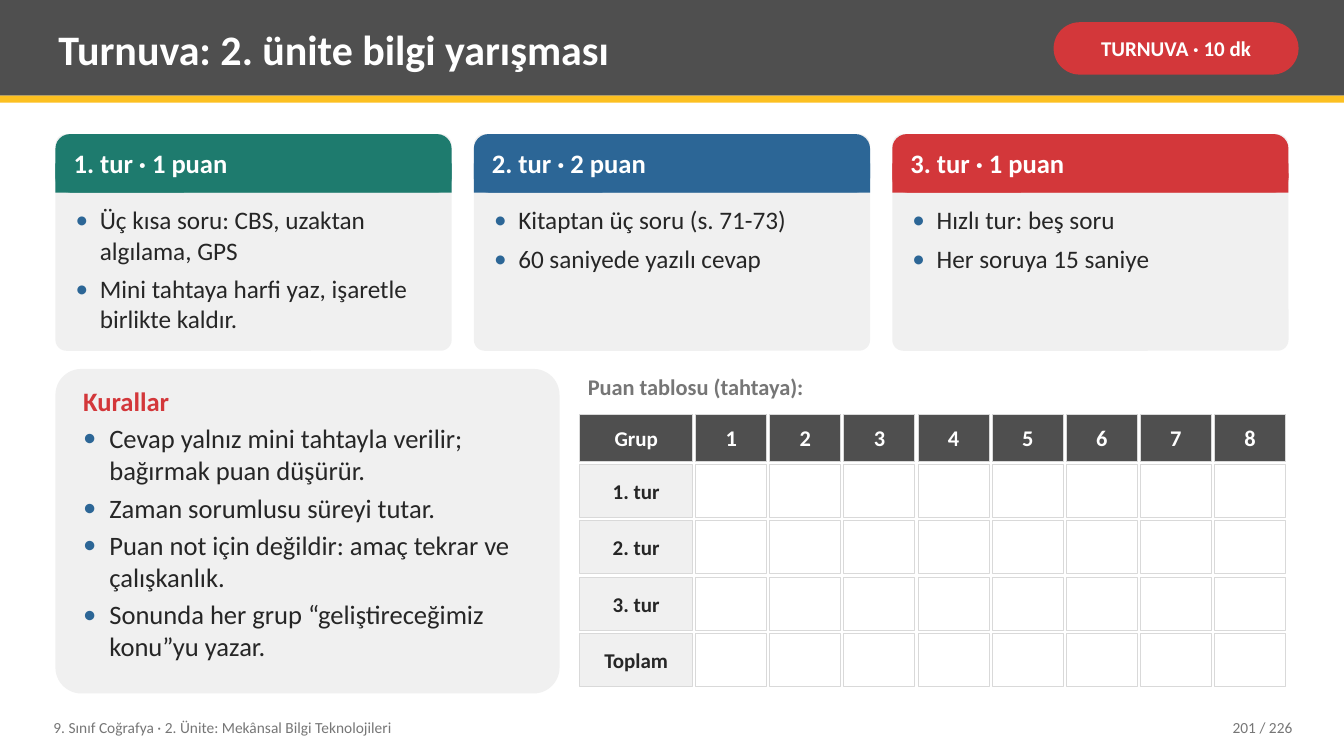
from pptx import Presentation
from pptx.dml.color import RGBColor
from pptx.enum import shapes, text
from pptx.oxml import parse_xml
from pptx.oxml.ns import nsdecls
from pptx.util import Inches, Pt

FONT = "Calibri"
DARK = RGBColor(0x4F, 0x4F, 0x4F)
YELLOW = RGBColor(0xFC, 0xC0, 0x21)
RED = RGBColor(0xD3, 0x37, 0x3A)
GREEN = RGBColor(0x1E, 0x7B, 0x6E)
BLUE = RGBColor(0x2C, 0x66, 0x96)
PALE = RGBColor(0xF0, 0xF0, 0xF0)
WHITE = RGBColor(0xFF, 0xFF, 0xFF)
INK = RGBColor(0x26, 0x26, 0x26)
MUTED = RGBColor(0x76, 0x76, 0x76)
GRID = RGBColor(0xD9, 0xD9, 0xD9)

RECT = shapes.MSO_SHAPE.RECTANGLE
ROUND = shapes.MSO_SHAPE.ROUNDED_RECTANGLE
LEFT, CENTER, RIGHT = text.PP_ALIGN.LEFT, text.PP_ALIGN.CENTER, text.PP_ALIGN.RIGHT
TOP, MIDDLE = text.MSO_ANCHOR.TOP, text.MSO_ANCHOR.MIDDLE

ROUNDS = [
    ("1. tur · 1 puan", GREEN, ["Üç kısa soru: CBS, uzaktan algılama, GPS",
                                "Mini tahtaya harfi yaz, işaretle birlikte kaldır."]),
    ("2. tur · 2 puan", BLUE, ["Kitaptan üç soru (s. 71-73)", "60 saniyede yazılı cevap"]),
    ("3. tur · 1 puan", RED, ["Hızlı tur: beş soru", "Her soruya 15 saniye"]),
]
RULES = [
    "Cevap yalnız mini tahtayla verilir; bağırmak puan düşürür.",
    "Zaman sorumlusu süreyi tutar.",
    "Puan not için değildir: amaç tekrar ve çalışkanlık.",
    "Sonunda her grup “geliştireceğimiz konu”yu yazar.",
]
SCORE_ROWS = ["1. tur", "2. tur", "3. tur", "Toplam"]
GROUPS = 8


def add_panel(slide, kind, box, fill, corner=None):
    panel = slide.shapes.add_shape(kind, *map(Inches, box))
    panel.shadow.inherit = False
    panel.fill.solid()
    panel.fill.fore_color.rgb = fill
    panel.line.fill.background()
    if corner is not None:
        panel.adjustments[0] = corner
    return panel


def set_frame(frame, anchor, inset_x=0.08, inset_y=0.04):
    frame.word_wrap = True
    frame.auto_size = text.MSO_AUTO_SIZE.NONE
    frame.vertical_anchor = anchor
    frame.margin_left = frame.margin_right = Inches(inset_x)
    frame.margin_top = frame.margin_bottom = Inches(inset_y)


def style(paragraph, size, color, bold=False, align=LEFT):
    paragraph.alignment = align
    font = paragraph.font
    font.name, font.size, font.bold = FONT, Pt(size), bold
    font.color.rgb = color


def write(frame, words, size, color, bold=False, align=LEFT):
    frame.text = words
    style(frame.paragraphs[0], size, color, bold, align)


def add_label(slide, box, words, size, color, bold=False, align=LEFT, anchor=MIDDLE):
    frame = slide.shapes.add_textbox(*map(Inches, box)).text_frame
    set_frame(frame, anchor)
    write(frame, words, size, color, bold, align)


def add_bullet(paragraph, words, size, indent, after):
    paragraph.text = words
    props = paragraph._p.get_or_add_pPr()
    props.set("marL", str(Inches(indent)))
    props.set("indent", str(-Inches(indent)))
    paragraph.space_after = Pt(after)
    for xml in (f'<a:buClr {nsdecls("a")}><a:srgbClr val="{BLUE}"/></a:buClr>',
                f'<a:buFont {nsdecls("a")} typeface="{FONT}"/>',
                f'<a:buChar {nsdecls("a")} char="•"/>'):
        props.append(parse_xml(xml))
    style(paragraph, size, INK)


def add_header(slide, width, height):
    add_panel(slide, RECT, (0, 0, width, height), DARK)
    stripe = add_panel(slide, RECT, (0, height, width, 0.07), YELLOW)
    # Title sits above the band
    title = slide.shapes.title
    stripe._element.addnext(title._element)
    title.left, title.top, title.width, title.height = map(Inches, (0.5, 0.07, 9.75, 0.82))
    set_frame(title.text_frame, MIDDLE)
    write(title.text_frame, "Turnuva: 2. ünite bilgi yarışması", 30, WHITE, True)
    # Activity badge
    badge = add_panel(slide, ROUND, (width - 2.88, 0.22, 2.43, 0.52), RED, 0.5)
    set_frame(badge.text_frame, MIDDLE, 0.05, 0.02)
    write(badge.text_frame, "TURNUVA · 10 dk", 15, WHITE, True, CENTER)


def add_round_card(slide, box, heading, color, items):
    left, top, width, height = box
    head = 0.58
    add_panel(slide, ROUND, box, PALE, 0.05)
    # Heading with square lower corners
    add_panel(slide, ROUND, (left, top, width, head), color, 0.25)
    add_panel(slide, RECT, (left, top + head / 2, width, head / 2), color)
    add_label(slide, (left + 0.1, top, width - 0.2, head), heading, 19, WHITE, True)
    body = slide.shapes.add_textbox(*map(Inches, (
        left + 0.12, top + head + 0.08, width - 0.24, height - head - 0.16))).text_frame
    set_frame(body, TOP)
    for i, item in enumerate(items):
        add_bullet(body.add_paragraph() if i else body.paragraphs[0], item, 18, 0.24, 6)


def add_rules(slide, box):
    rules = add_panel(slide, ROUND, box, PALE, 0.08).text_frame
    set_frame(rules, TOP, 0.2, 0.08)
    write(rules, "Kurallar", 19, RED, True)
    rules.paragraphs[0].space_after = Pt(4)
    for rule in RULES:
        add_bullet(rules.add_paragraph(), rule, 19, 0.26, 4)


def add_score_tile(slide, box, words, size, color, fill):
    tile = add_panel(slide, RECT, box, fill)
    tile.line.color.rgb = GRID
    tile.line.width = Pt(0.75)
    if words:
        set_frame(tile.text_frame, MIDDLE, 0.06, 0.02)
        write(tile.text_frame, words, size, color, True, CENTER)


def add_score_board(slide, box):
    left, top, width, height = box
    add_label(slide, (left, top, width, 0.4), "Puan tablosu (tahtaya):", 16, MUTED, True,
              anchor=TOP)
    # Separate tiles with a narrow gap between them
    gap, name_width, head, grid_top = 0.03, 1.12, 0.47, top + 0.45
    column_step = (width - name_width - gap) / GROUPS
    row_step = (height - 0.45 - head) / len(SCORE_ROWS)
    for r, name in enumerate(["Grup"] + SCORE_ROWS):
        y = grid_top + head + gap + (r - 1) * row_step if r else grid_top
        tile_height = row_step - gap if r else head
        color, fill = (INK, PALE) if r else (WHITE, DARK)
        add_score_tile(slide, (left, y, name_width, tile_height), name, 15, color, fill)
        for group in range(GROUPS):
            x = left + name_width + gap + group * column_step
            add_score_tile(slide, (x, y, column_step - gap, tile_height),
                           "" if r else str(group + 1), 16, color, WHITE if r else fill)


def add_footer(slide, top):
    add_label(slide, (0.45, top, 7.6, 0.36),
              "9. Sınıf Coğrafya · 2. Ünite: Mekânsal Bilgi Teknolojileri", 11, MUTED)
    add_label(slide, (11.3, top, 1.6, 0.36), "201 / 226", 11, MUTED, align=RIGHT)


def main():
    deck = Presentation()
    deck.slide_width, deck.slide_height = Inches(13.33), Inches(7.5)
    slide = deck.slides.add_slide(deck.slide_layouts[5])
    add_header(slide, 13.33, 0.95)
    card_width, gap = 3.93, 0.22
    for i, (heading, color, items) in enumerate(ROUNDS):
        left = 0.55 + i * (card_width + gap)
        add_round_card(slide, (left, 1.33, card_width, 2.15), heading, color, items)
    add_rules(slide, (0.55, 3.66, 5, 3.22))
    add_score_board(slide, (5.75, 3.66, 7.03, 3.15))
    add_footer(slide, 7.04)
    deck.save("out.pptx")


if __name__ == "__main__":
    main()
